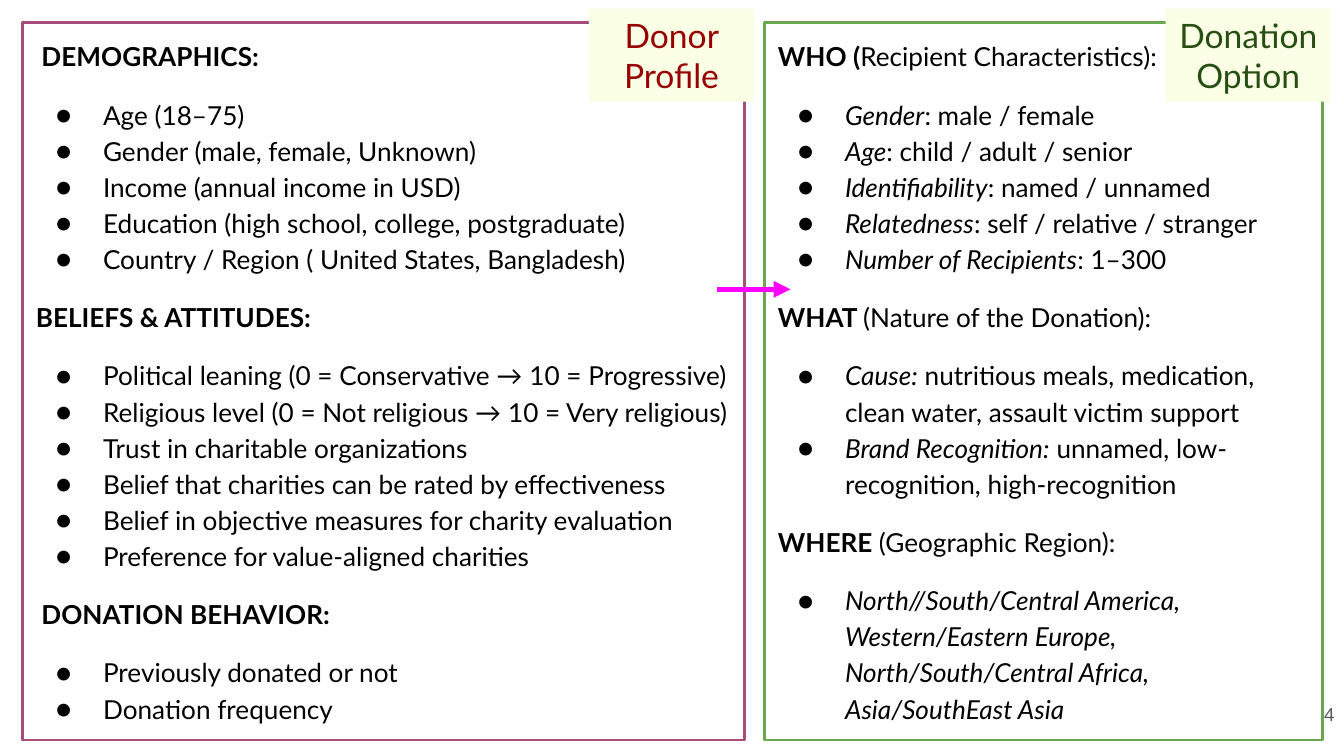
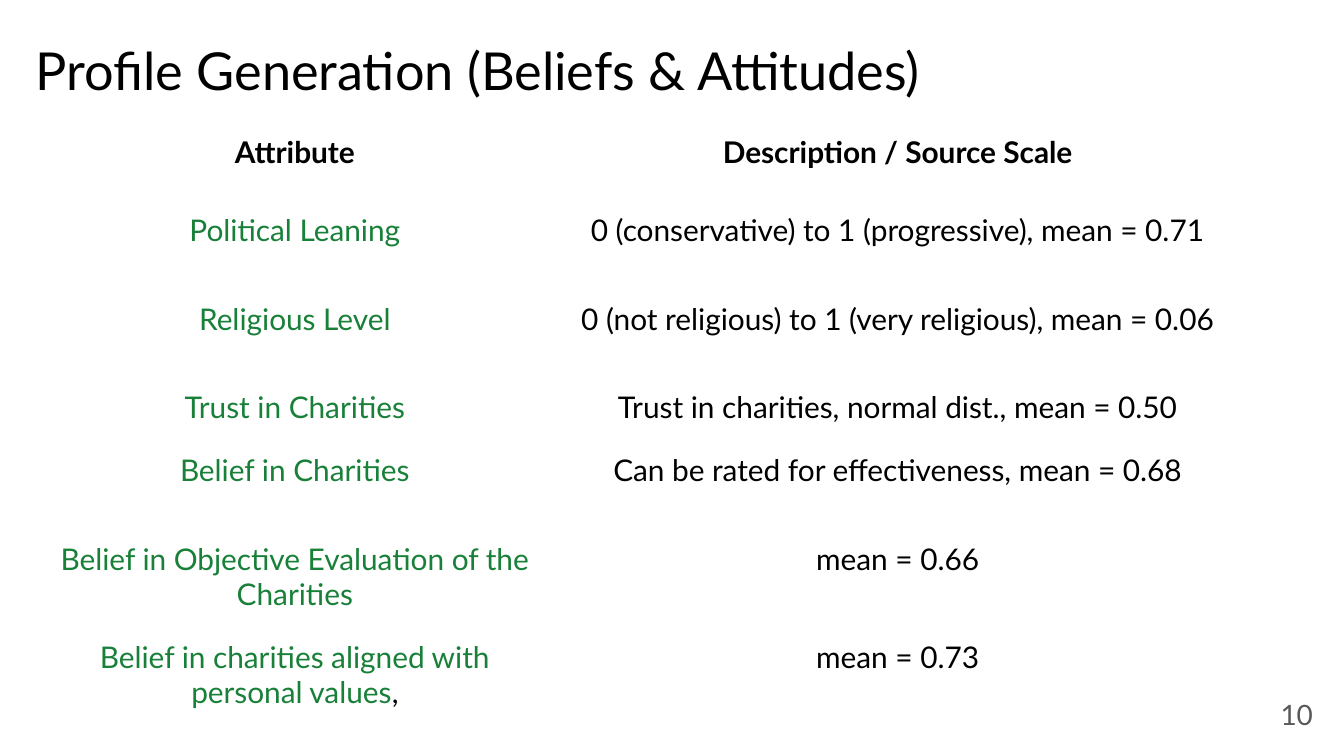
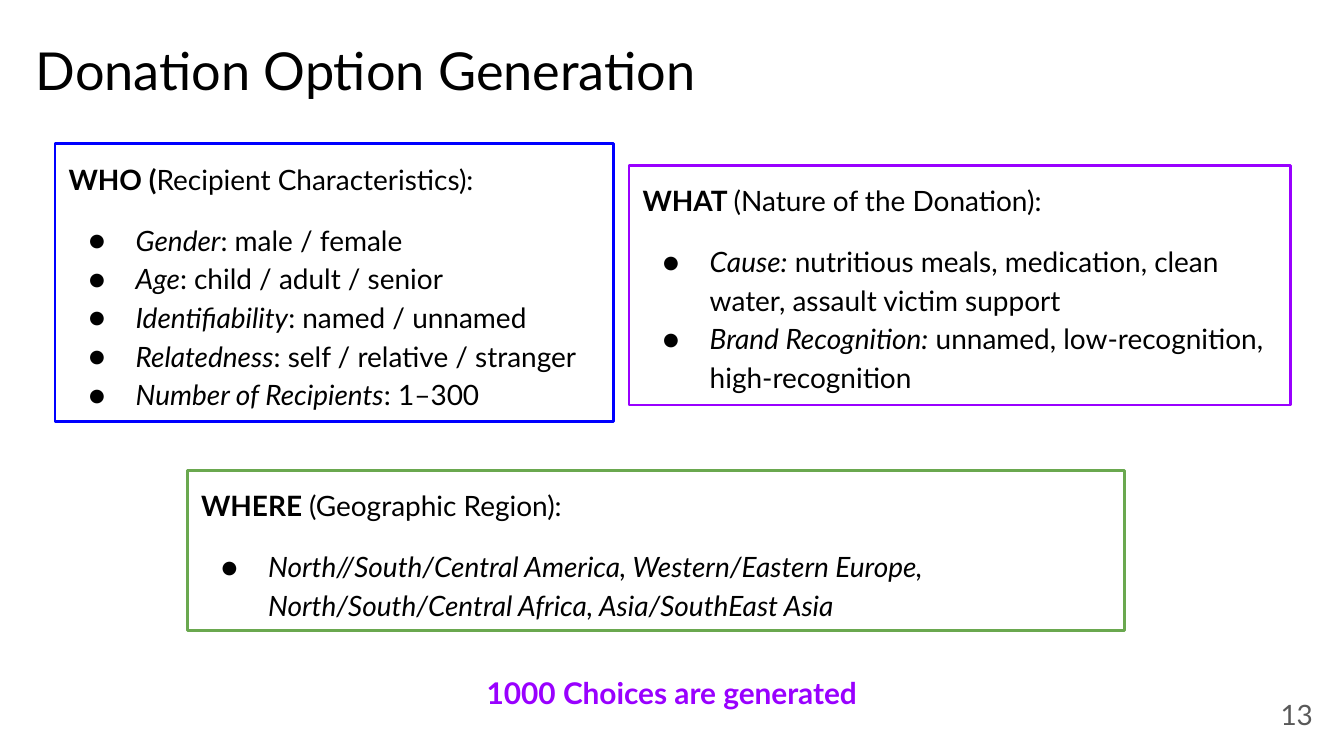
import pptx
import pptx.dml.color
import pptx.enum.shapes
import pptx.enum.text
import pptx.oxml
import pptx.oxml.ns
import pptx.util
from lxml import etree

Pt = pptx.util.Pt
RGB = pptx.dml.color.RGBColor
ALIGN = pptx.enum.text.PP_ALIGN
ANCHOR = pptx.enum.text.MSO_ANCHOR
RECT = pptx.enum.shapes.MSO_SHAPE.RECTANGLE
qn = pptx.oxml.ns.qn

BLACK = RGB(0x00, 0x00, 0x00)
GREY = RGB(0x59, 0x59, 0x59)
GREEN = RGB(0x6A, 0xA8, 0x4F)
DARK_GREEN = RGB(0x27, 0x4E, 0x13)
ATTRIBUTE_GREEN = RGB(0x18, 0x80, 0x38)
PLUM = RGB(0xA6, 0x4D, 0x79)
DARK_RED = RGB(0x98, 0x00, 0x00)
MAGENTA = RGB(0xFF, 0x00, 0xFF)
BLUE = RGB(0x00, 0x00, 0xFF)
VIOLET = RGB(0x99, 0x00, 0xFF)
CREAM = RGB(0xFB, 0xFF, 0xE6)
FONT = "Lato"
MARGIN = Pt(7.2)

# Section: heading indent, (bold, plain) heading, (italic, plain) bullets
WHO = (0, ("WHO (", "Recipient Characteristics):"), [
    ("Gender", ": male / female"),
    ("Age", ": child / adult / senior"),
    ("Identifiability", ": named / unnamed"),
    ("Relatedness", ": self / relative / stranger"),
    ("Number of Recipients", ": 1–300"),
])
WHAT = (0, ("WHAT ", "(Nature of the Donation):"), [
    ("Cause:", " nutritious meals, medication, clean water, assault victim support"),
    ("Brand Recognition:", " unnamed, low-recognition, high-recognition"),
])
WHERE = (0, ("WHERE ", "(Geographic Region):"), [
    ("North//South/Central America, Western/Eastern Europe, "
     "North/South/Central Africa, Asia/SouthEast Asia", ""),
])
DEMOGRAPHICS = (3, ("DEMOGRAPHICS:", ""), [
    ("", "Age (18–75)"),
    ("", "Gender (male, female, Unknown)"),
    ("", "Income (annual income in USD)"),
    ("", "Education (high school, college, postgraduate)"),
    ("", "Country / Region ( United States, Bangladesh)"),
])
BELIEFS = (0, ("BELIEFS & ATTITUDES:", ""), [
    ("", "Political leaning (0 = Conservative → 10 = Progressive)"),
    ("", "Religious level (0 = Not religious → 10 = Very religious)"),
    ("", "Trust in charitable organizations"),
    ("", "Belief that charities can be rated by effectiveness"),
    ("", "Belief in objective measures for charity evaluation"),
    ("", "Preference for value-aligned charities"),
])
BEHAVIOR = (3, ("DONATION BEHAVIOR:", ""), [
    ("", "Previously donated or not"),
    ("", "Donation frequency"),
])


def add_run(p, text, size, color=BLACK, bold=False, italic=False, font=FONT):
    r = p.add_run()
    r.text = text
    r.font.name = font
    r.font.size = Pt(size)
    r.font.bold = bold
    r.font.italic = italic
    r.font.color.rgb = color


def place(sp, box, anchor=ANCHOR.TOP):
    """Position a shape by (left, top, width, height) and return its text frame."""
    sp.left, sp.top, sp.width, sp.height = [Pt(v) for v in box]
    tf = sp.text_frame
    tf.word_wrap = True
    tf.auto_size = pptx.enum.text.MSO_AUTO_SIZE.NONE
    tf.vertical_anchor = anchor
    tf.margin_left = tf.margin_right = tf.margin_top = tf.margin_bottom = MARGIN
    return tf


prs = pptx.Presentation()
prs.slide_width, prs.slide_height = Pt(720), Pt(405)
profile_slide, table_slide, option_slide = [
    prs.slides.add_slide(prs.slide_layouts.get_by_name(name))
    for name in ("Two Content", "Title Only", "Comparison")]

# Titles
titles = [(table_slide, "Profile Generation (Beliefs & Attitudes)"),
          (option_slide, "Donation Option Generation")]
for s, text in titles:
    p = place(s.shapes.title, (12, 13, 680, 48)).paragraphs[0]
    p.alignment = ALIGN.LEFT
    add_run(p, text, 28)

# Slide numbers
numbers = [(profile_slide, "4", 679, 10, "Arial"),
           (table_slide, "10", 667.5, 15, FONT),
           (option_slide, "13", 667.5, 15, FONT)]
for s, text, left, size, font in numbers:
    sp = s.shapes.add_textbox(0, 0, 0, 0)
    p = place(sp, (left, 367, 43, 31), ANCHOR.MIDDLE).paragraphs[0]
    p.alignment = ALIGN.RIGHT
    add_run(p, text, size, GREY, font=font)

# Outlined panels of headed lists
panels = [
    (profile_slide, 1, (12, 12, 387, 384.5), PLUM, 14, [DEMOGRAPHICS, BELIEFS, BEHAVIOR]),
    (profile_slide, 2, (409.5, 12, 299, 384.5), GREEN, 14, [WHO, WHAT, WHERE]),
    (option_slide, 1, (29.5, 77, 299, 149), BLUE, 15, [WHO]),
    (option_slide, 2, (337, 88.5, 354.5, 128.5), VIOLET, 15, [WHAT]),
    (option_slide, 3, (100.5, 252, 502, 86), GREEN, 15, [WHERE]),
]
for s, idx, box, color, size, sections in panels:
    sp = [ph for ph in s.placeholders if ph.placeholder_format.idx == idx][0]
    tf = place(sp, box)
    sp.line.color.rgb = color
    sp.line.width = Pt(1.5)
    p = tf.paragraphs[0]
    for section in sections:
        indent, heading, bullets = section
        for n, (lead, rest) in enumerate([heading] + bullets):
            first = section is sections[0] and n == 0
            if not first:
                p = tf.add_paragraph()
            pPr = p._p.get_or_add_pPr()
            pPr.set("marL", str(Pt(36 if n else indent)))
            pPr.set("indent", str(Pt(-25.2 if n else 0)))
            if n:
                clr = etree.SubElement(pPr, qn("a:buClr"))
                etree.SubElement(clr, qn("a:srgbClr"), val=str(BLACK))
                etree.SubElement(pPr, qn("a:buFont"), typeface=FONT)
                etree.SubElement(pPr, qn("a:buChar"), char="●")
            else:
                etree.SubElement(pPr, qn("a:buNone"))
            p.alignment = ALIGN.LEFT
            p.line_spacing = 1.15
            p.space_before = Pt(12 if n < 2 and not first else 0)
            if lead:
                add_run(p, lead, size, bold=n == 0, italic=n > 0)
            if rest:
                add_run(p, rest, size)

# Arrow from profile to option, and the two corner labels
line = profile_slide.shapes.add_connector(
    pptx.enum.shapes.MSO_CONNECTOR.STRAIGHT, Pt(384), Pt(155), Pt(423.5), Pt(155))
line.line.color.rgb = MAGENTA
line.line.width = Pt(3)
etree.SubElement(line.line._get_or_add_ln(), qn("a:tailEnd"), type="triangle")
etree.SubElement(line._element.spPr, qn("a:effectLst"))

for text, left, color in [("Donor Profile", 315.5, DARK_RED),
                          ("Donation Option", 624.5, DARK_GREEN)]:
    sp = profile_slide.shapes.add_shape(RECT, 0, 0, 0, 0)
    sp.shadow.inherit = False
    sp.fill.solid()
    sp.fill.fore_color.rgb = CREAM
    sp.line.fill.background()
    p = place(sp, (left, 4.5, 88.5, 50), ANCHOR.MIDDLE).paragraphs[0]
    p.alignment = ALIGN.CENTER
    add_run(p, text, 18, color)

# Attribute table
rows = [
    ("Attribute", "Description / Source Scale"),
    ("Political Leaning", "0 (conservative) to 1 (progressive), mean = 0.71"),
    ("Religious Level", "0 (not religious) to 1 (very religious), mean = 0.06"),
    ("Trust in Charities", "Trust in charities, normal dist., mean = 0.50"),
    ("Belief in Charities", "Can be rated for effectiveness, mean = 0.68"),
    ("Belief in Objective Evaluation of the Charities", "mean = 0.66"),
    ("Belief in charities aligned with personal values", "mean = 0.73"),
]
heights = [44.5, 47.5, 47.5, 31, 47.5, 41, 47.5]
table = table_slide.shapes.add_table(
    len(rows), 2, Pt(21.5), Pt(62), Pt(646), Pt(sum(heights))).table
table.first_row = table.horz_banding = False
table.columns[0].width, table.columns[1].width = Pt(273), Pt(373)
for i, row in enumerate(rows):
    table.rows[i].height = Pt(heights[i])
    for j, text in enumerate(row):
        cell = table.cell(i, j)
        cell.fill.background()
        cell.margin_left = cell.margin_right = cell.margin_top = cell.margin_bottom = MARGIN
        p = cell.text_frame.paragraphs[0]
        p.alignment = ALIGN.CENTER
        if i == 0:
            p.line_spacing = 1.15
        add_run(p, text, 16, ATTRIBUTE_GREEN if i and j == 0 else BLACK, bold=i == 0)
add_run(table.cell(len(rows) - 1, 0).text_frame.paragraphs[0], ",", 16)

# Closing line
sp = option_slide.shapes.add_textbox(0, 0, 0, 0)
p = place(sp, (44, 354.5, 632, 34)).paragraphs[0]
p.alignment = ALIGN.CENTER
add_run(p, "1000 Choices are generated", 16, VIOLET, bold=True)

# Unused placeholders
for s in prs.slides:
    for ph in list(s.placeholders):
        if not ph.text_frame.text:
            ph._element.getparent().remove(ph._element)

prs.save("out.pptx")
